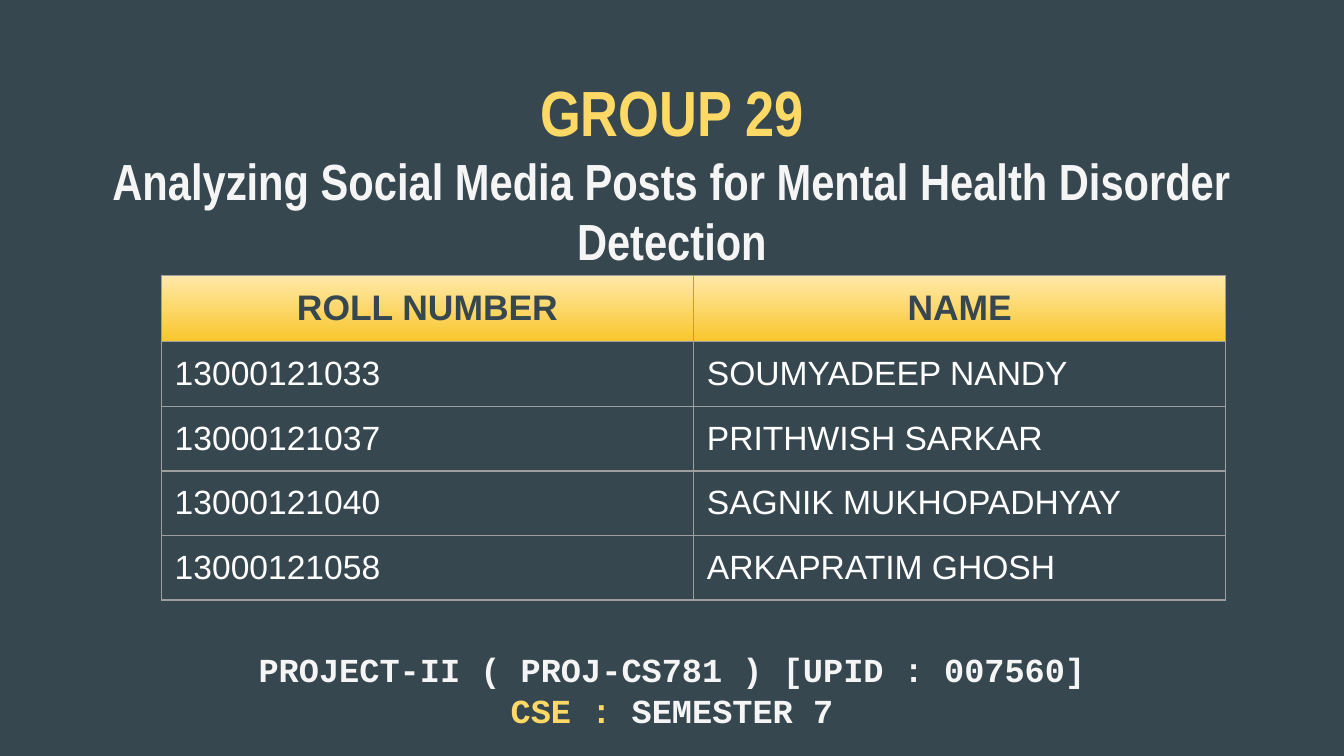
from lxml import etree
from pptx import Presentation
from pptx.dml.color import RGBColor
from pptx.enum.text import MSO_ANCHOR, MSO_AUTO_SIZE, PP_ALIGN
from pptx.oxml.ns import qn
from pptx.util import Inches, Pt

CENTER, LEFT = PP_ALIGN.CENTER, PP_ALIGN.LEFT
TOP = MSO_ANCHOR.TOP
NO_FIT = MSO_AUTO_SIZE.NONE
SLIDE_W = 10
SLIDE_H = SLIDE_W * 9 / 16

COLORS = {
    "slate": "37474F",
    "yellow": "FFD966",
    "off_white": "F5F5F5",
    "white": "FFFFFF",
    "border": "9E9E9E",
    "grad_top": "FFE9A8",
    "grad_bottom": "F9C62C",
}

HEADER = ["ROLL NUMBER", "NAME"]
MEMBERS = [
    ["13000121033", "SOUMYADEEP NANDY"],
    ["13000121037", "PRITHWISH SARKAR"],
    ["13000121040", "SAGNIK MUKHOPADHYAY"],
    ["13000121058", "ARKAPRATIM GHOSH"],
]


def rgb(key):
    return RGBColor.from_string(COLORS[key])


def add_run(p, text, color, **font):
    r = p.add_run()
    r.text = text
    r.font.color.rgb = rgb(color)
    for name, value in font.items():
        setattr(r.font, name, value)


def format_frame(tf):
    settings = {
        "word_wrap": True,
        "auto_size": NO_FIT,
        "vertical_anchor": TOP,
        "margin_left": Inches(0.1),
        "margin_right": Inches(0.1),
        "margin_top": Inches(0.1),
        "margin_bottom": Inches(0.1),
    }
    for name, value in settings.items():
        setattr(tf, name, value)


def fill_title(slide, x, y, w, h):
    sp = slide.shapes.title
    sp.left, sp.top, sp.width, sp.height = map(Inches, (x, y, w, h))
    tf = sp.text_frame
    format_frame(tf)
    lines = [
        ("GROUP 29", "yellow", 34.2),
        ("Analyzing Social Media Posts for Mental Health Disorder Detection",
         "off_white", 27.2),
    ]
    for i, (text, color, size) in enumerate(lines):
        p = tf.add_paragraph() if i else tf.paragraphs[0]
        p.alignment = CENTER
        add_run(p, text, color, size=Pt(size), name="Arial Narrow", bold=True)


def set_borders(cell):
    tc_pr = cell._tc.get_or_add_tcPr()
    for i, side in enumerate(("lnL", "lnR", "lnT", "lnB")):
        ln = etree.Element(qn(f"a:{side}"), w=str(Pt(0.75)))
        solid = etree.SubElement(ln, qn("a:solidFill"))
        etree.SubElement(solid, qn("a:srgbClr"), val=COLORS["border"])
        tc_pr.insert(i, ln)


def fill_header(cell):
    cell.fill.gradient()
    cell.fill.gradient_angle = 270
    for stop, key in zip(cell.fill.gradient_stops, ("grad_top", "grad_bottom")):
        stop.color.rgb = rgb(key)


def add_members(slide, x, y, w, row_h):
    rows = [HEADER] + MEMBERS
    n_rows, n_cols = len(rows), len(HEADER)
    table = slide.shapes.add_table(
        n_rows, n_cols, Inches(x), Inches(y), Inches(w), Inches(row_h * n_rows)
    ).table
    table.horz_banding = False
    table.first_row = False
    for i, values in enumerate(rows):
        table.rows[i].height = Inches(row_h)
        is_header = i == 0
        for j, text in enumerate(values):
            cell = table.cell(i, j)
            for side in ("left", "right", "top", "bottom"):
                setattr(cell, f"margin_{side}", Inches(0.1))
            if is_header:
                fill_header(cell)
            else:
                cell.fill.background()
            set_borders(cell)
            p = cell.text_frame.paragraphs[0]
            p.alignment = CENTER if is_header else LEFT
            add_run(p, text, "slate" if is_header else "white", name="Arial",
                    size=Pt(19 if is_header else 18), bold=is_header)


def add_course(slide, x, y, w, h):
    sp = slide.shapes.add_textbox(*map(Inches, (x, y, w, h)))
    tf = sp.text_frame
    format_frame(tf)
    lines = [
        [("PROJECT-II ( PROJ-CS781 ) [UPID : 007560]", "off_white")],
        [("CSE : ", "yellow"), ("SEMESTER 7", "off_white")],
    ]
    for i, runs in enumerate(lines):
        p = tf.add_paragraph() if i else tf.paragraphs[0]
        p.alignment = CENTER
        for text, color in runs:
            add_run(p, text, color, size=Pt(18), name="Courier New", bold=True)


def main():
    prs = Presentation()
    prs.slide_width, prs.slide_height = Inches(SLIDE_W), Inches(SLIDE_H)
    slide = prs.slides.add_slide(prs.slide_layouts[5])

    # Background
    slide.background.fill.solid()
    slide.background.fill.fore_color.rgb = rgb("slate")

    # Group and topic, member table, course details
    fill_title(slide, 0.34, 0.44, 9.32, 0.63)
    add_members(slide, 1.2, 2.05, 7.92, 0.42)
    add_course(slide, 0.23, 4.73, 9.54, 0.81)
    prs.save("out.pptx")


if __name__ == "__main__":
    main()
